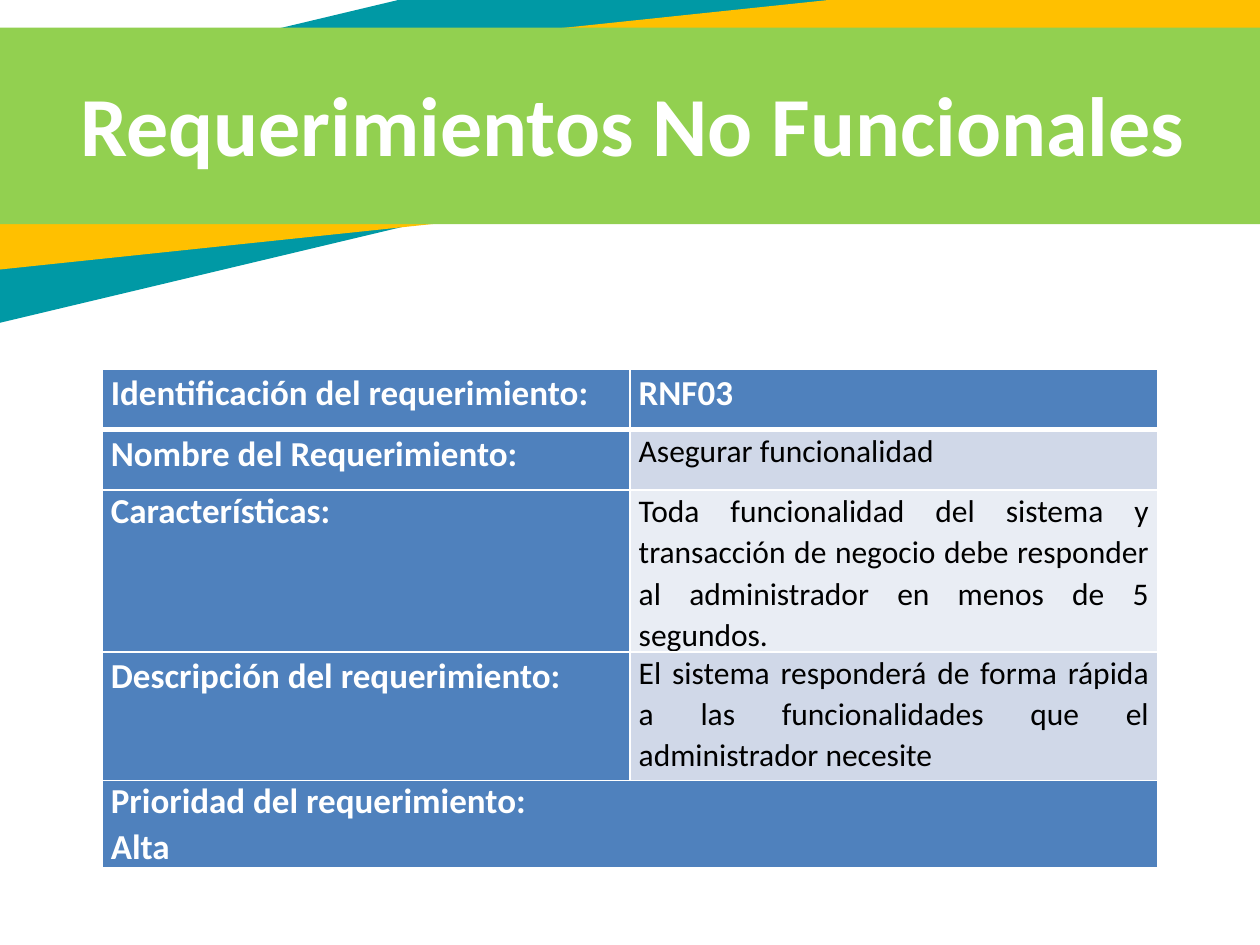
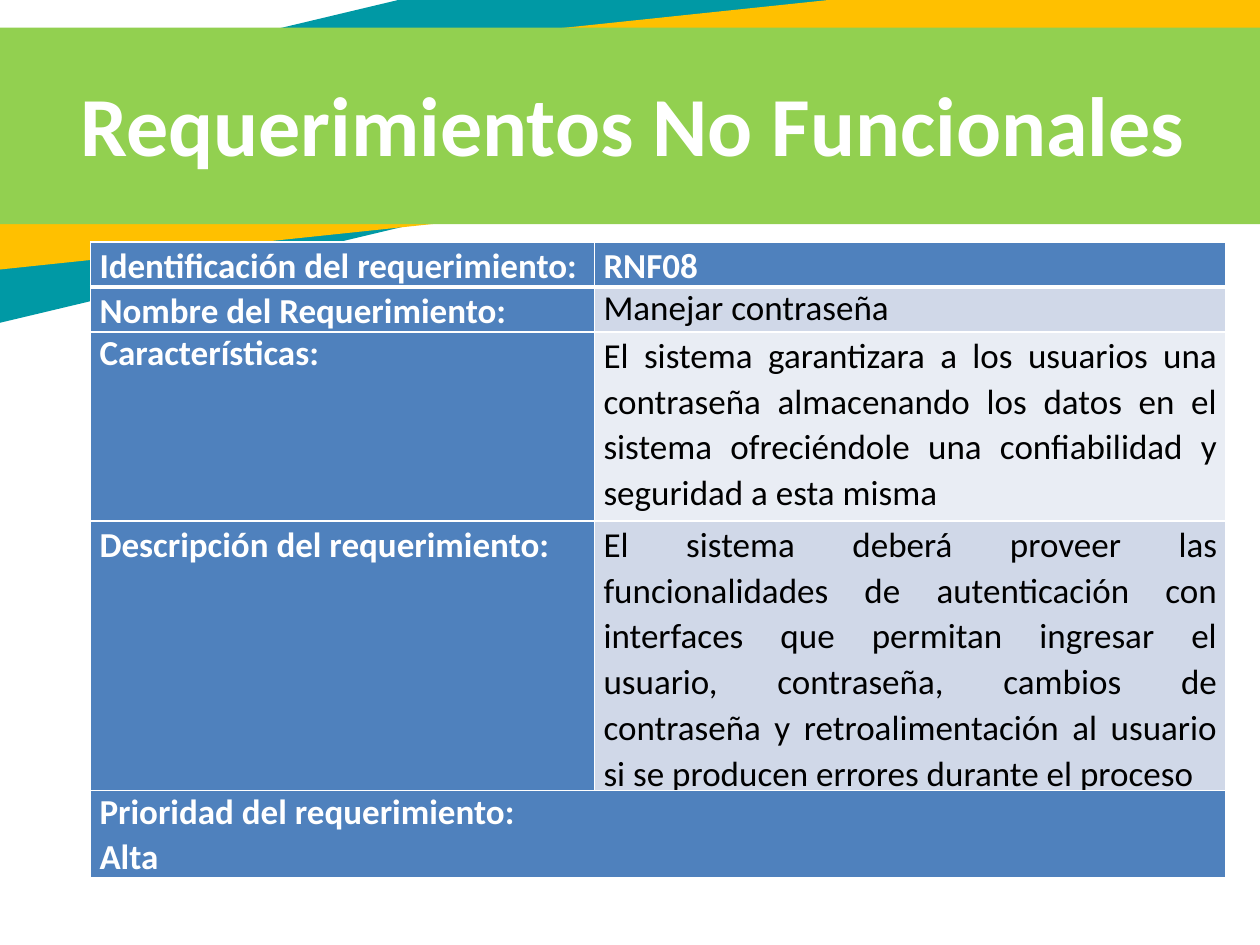
from dataclasses import dataclass

from lxml.etree import SubElement
from pptx import Presentation
from pptx.dml.color import RGBColor
from pptx.enum.shapes import MSO_SHAPE
from pptx.enum.text import MSO_ANCHOR, PP_ALIGN
from pptx.oxml.ns import qn
from pptx.util import Inches, Pt


@dataclass(frozen=True)
class Theme:
    """Colours and type sizes shared by the slides."""

    font: str = "Calibri"
    teal: str = "0099A5"
    amber: str = "FFC000"
    green: str = "92D050"
    white: str = "FFFFFF"
    black: str = "000000"
    label_fill: str = "4F81BD"
    dark_stripe: str = "D0D8E8"
    light_stripe: str = "E9EDF4"
    title_size: float = 48
    label_size: float = 20
    line_spacing: float = 1.07
    border: float = 1
    header_border: float = 3


@dataclass(frozen=True)
class Requirement:
    """Content and table geometry of one requirement."""

    values: tuple
    value_size: float
    name_spacing: float
    box: tuple
    columns: tuple
    rows: tuple


THEME = Theme()
TITLE = "Requerimientos No Funcionales"
TITLE_BOX = (0.54, 0.49, 10.56, 0.97)
BANDS = (
    ((-2.51, -0.18, 13.06, 1.76), -13.4, THEME.teal),
    ((-1.1, 0.2, 11.63, 1.44), -6, THEME.amber),
    ((-1.06, 0.22, 11.63, 1.56), 0, THEME.green),
)
LABELS = (
    "Identificación del requerimiento:",
    "Nombre del Requerimiento:",
    "Características:",
    "Descripción del requerimiento:",
)
PRIORITY = "Prioridad del requerimiento:\nAlta"
REQUIREMENTS = (
    Requirement(
        values=(
            "RNF03",
            "Asegurar funcionalidad",
            "Toda funcionalidad del sistema y transacción de negocio debe "
            "responder al administrador en menos de 5 segundos.",
            "El sistema responderá de forma rápida a las funcionalidades "
            "que el administrador necesite",
        ),
        value_size=18,
        name_spacing=THEME.line_spacing,
        box=(0.81, 2.93, 8.38, 3.94),
        columns=(4.19, 4.19),
        rows=(0.48, 0.48, 0.92, 1.02, 0.67),
    ),
    Requirement(
        values=(
            "RNF08",
            "Manejar contraseña",
            "El sistema garantizara a los usuarios una contraseña almacenando "
            "los datos en el sistema ofreciéndole una confiabilidad y "
            "seguridad a esta misma",
            "El sistema deberá proveer las funcionalidades de autenticación "
            "con interfaces que permitan ingresar el usuario, contraseña, "
            "cambios de contraseña y retroalimentación al usuario si se "
            "producen errores durante el proceso",
        ),
        value_size=20,
        name_spacing=1,
        box=(0.72, 1.92, 9.02, 5.04),
        columns=(4, 5.01),
        rows=(0.34, 0.3, 1.5, 2.1, 0.58),
    ),
)


def to_inches(box):
    """Turn a box of numbers into lengths."""
    return [Inches(value) for value in box]


def style_paragraph(paragraph, size, color, bold):
    """Format every run of a paragraph."""
    for run in paragraph.runs:
        run.font.name = THEME.font
        run.font.size = Pt(size)
        run.font.bold = bold
        run.font.color.rgb = RGBColor.from_string(color)


def add_bands(slide):
    """Draw the three crossing bands behind the title."""
    for box, rotation, color in BANDS:
        band = slide.shapes.add_shape(MSO_SHAPE.RECTANGLE, *to_inches(box))
        band.shadow.inherit = False
        band.rotation = rotation
        band.fill.solid()
        band.fill.fore_color.rgb = RGBColor.from_string(color)
        band.line.fill.background()


def add_title(slide, box):
    """Write the slide title in its box."""
    frame = slide.shapes.add_textbox(*to_inches(box)).text_frame
    frame.word_wrap = True
    frame.vertical_anchor = MSO_ANCHOR.MIDDLE
    frame.text = TITLE
    style_paragraph(frame.paragraphs[0], THEME.title_size, THEME.white, True)


def add_borders(cell, is_header):
    """Give a cell white borders, heavier under the header."""
    properties = cell._tc.get_or_add_tcPr()
    widths = {"a:lnL": THEME.border, "a:lnR": THEME.border}
    if is_header:
        widths["a:lnT"] = THEME.border
    widths["a:lnB"] = THEME.header_border if is_header else THEME.border
    for tag, width in widths.items():
        line = SubElement(properties, qn(tag), w=str(Pt(width)))
        fill = SubElement(line, qn("a:solidFill"))
        SubElement(fill, qn("a:srgbClr"), val=THEME.white)


def fill_cell(cell, text, fill, size, color, bold, spacings,
              alignment=PP_ALIGN.LEFT, is_header=False):
    """Write and format one table cell, with one spacing per paragraph."""
    add_borders(cell, is_header)
    cell.fill.solid()
    cell.fill.fore_color.rgb = RGBColor.from_string(fill)
    cell.margin_left = cell.margin_right = Inches(0.07)
    cell.margin_top = cell.margin_bottom = 0
    cell.text_frame.text = text
    for paragraph, spacing in zip(cell.text_frame.paragraphs, spacings):
        paragraph.alignment = alignment
        paragraph.line_spacing = spacing
        style_paragraph(paragraph, size, color, bold)


def fill_label(cell, text, spacings, is_header=False):
    """Fill a blue cell with bold white text."""
    fill_cell(cell, text, THEME.label_fill, THEME.label_size, THEME.white,
              True, spacings, is_header=is_header)


def add_requirement_table(slide, requirement):
    """Build the table that describes a requirement."""
    row_count = len(requirement.rows)
    table = slide.shapes.add_table(
        row_count, len(requirement.columns), *to_inches(requirement.box)
    ).table
    table.first_row = table.horz_banding = False
    for column, width in zip(table.columns, requirement.columns):
        column.width = Inches(width)
    for row, height in zip(table.rows, requirement.rows):
        row.height = Inches(height)

    spacing = THEME.line_spacing
    label_spacings = (spacing, spacing, 1, spacing)
    value_spacings = (spacing, requirement.name_spacing, spacing, spacing)
    for index, (label, value) in enumerate(zip(LABELS, requirement.values)):
        is_header = index == 0
        fill_label(table.cell(index, 0), label, [label_spacings[index]], is_header)
        value_cell = table.cell(index, 1)
        if is_header:
            fill_label(value_cell, value, [spacing], is_header)
            continue
        stripe = THEME.dark_stripe if index % 2 else THEME.light_stripe
        alignment = PP_ALIGN.JUSTIFY if index > 1 else PP_ALIGN.LEFT
        fill_cell(value_cell, value, stripe, requirement.value_size, THEME.black,
                  False, [value_spacings[index]], alignment)

    priority_cell = table.cell(row_count - 1, 0)
    priority_cell.merge(table.cell(row_count - 1, 1))
    fill_label(priority_cell, PRIORITY, (1, spacing))


def add_requirement_slide(presentation, requirement):
    """Add a slide with the bands, the title and one requirement."""
    slide = presentation.slides.add_slide(presentation.slide_layouts[6])
    add_bands(slide)
    add_title(slide, TITLE_BOX)
    add_requirement_table(slide, requirement)


def main():
    """Build and save the presentation."""
    presentation = Presentation()
    presentation.slide_width = Inches(10)
    presentation.slide_height = Inches(7.5)
    for requirement in REQUIREMENTS:
        add_requirement_slide(presentation, requirement)
    presentation.save("out.pptx")


if __name__ == "__main__":
    main()
